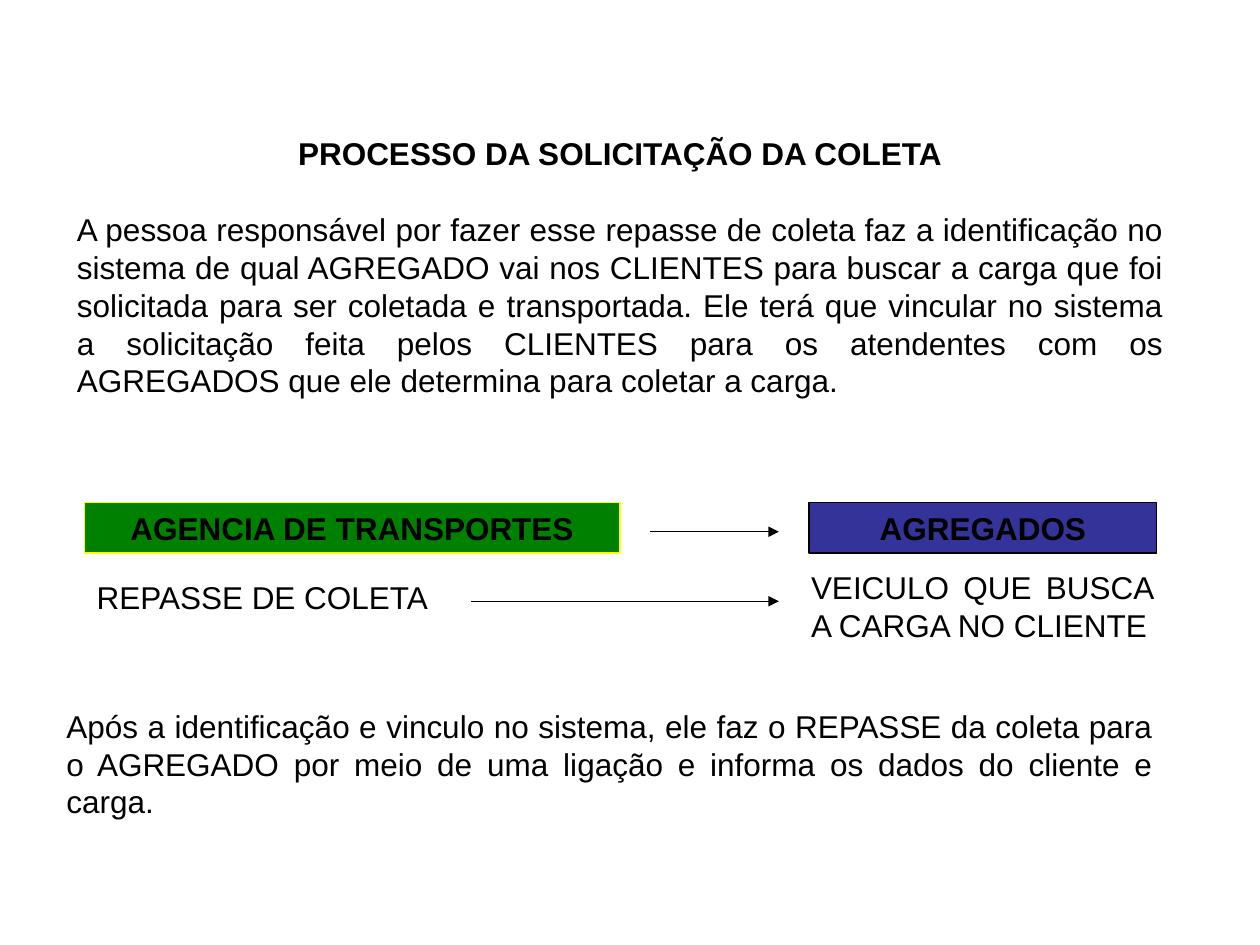
from lxml import etree
from pptx import Presentation
from pptx.dml.color import RGBColor
from pptx.enum.shapes import MSO_CONNECTOR, MSO_SHAPE
from pptx.enum.text import MSO_ANCHOR, MSO_AUTO_SIZE, PP_ALIGN
from pptx.oxml.ns import qn
from pptx.util import Cm, Pt

LEFT, CENTER, JUSTIFY = PP_ALIGN.LEFT, PP_ALIGN.CENTER, PP_ALIGN.JUSTIFY
TOP, MIDDLE = MSO_ANCHOR.TOP, MSO_ANCHOR.MIDDLE
NO_AUTOSIZE = MSO_AUTO_SIZE.NONE
RECTANGLE = MSO_SHAPE.RECTANGLE
STRAIGHT = MSO_CONNECTOR.STRAIGHT
TITLE_ONLY = 5


def color(value):
    return RGBColor.from_string(value)


class SlideBuilder:
    font = "Arial"
    size = Pt(18)
    ink = "000000"
    line_width = Pt(0.75)

    def __init__(self, s):
        self.s = s

    def fill_text(self, sp, text, align, bold=False, anchor=TOP):
        tf = sp.text_frame
        tf.text = text
        tf.word_wrap = True
        tf.auto_size = NO_AUTOSIZE
        tf.vertical_anchor = anchor
        tf.margin_left = tf.margin_right = Cm(0.25)
        tf.margin_top = tf.margin_bottom = Cm(0.13)
        p = tf.paragraphs[0]
        p.alignment = align
        p.line_spacing = 1.0
        p.space_before = Pt(0)
        for r in p.runs:
            r.font.name = self.font
            r.font.size = self.size
            r.font.bold = bold
            r.font.color.rgb = color(self.ink)

    def title(self, text, x, y, w, h):
        sp = self.s.shapes.title
        sp.left, sp.top, sp.width, sp.height = Cm(x), Cm(y), Cm(w), Cm(h)
        self.fill_text(sp, text, CENTER, bold=True)

    def text(self, text, x, y, w, h, align=JUSTIFY):
        sp = self.s.shapes.add_textbox(Cm(x), Cm(y), Cm(w), Cm(h))
        self.fill_text(sp, text, align)

    def box(self, text, x, y, w, h, fill, line):
        sp = self.s.shapes.add_shape(RECTANGLE, Cm(x), Cm(y), Cm(w), Cm(h))
        sp.shadow.inherit = False
        sp.fill.solid()
        sp.fill.fore_color.rgb = color(fill)
        sp.line.color.rgb = color(line)
        sp.line.width = self.line_width
        self.fill_text(sp, text, CENTER, bold=True, anchor=MIDDLE)

    def arrow(self, x1, x2, y):
        cx = self.s.shapes.add_connector(STRAIGHT, Cm(x1), Cm(y), Cm(x2), Cm(y))
        cx.line.color.rgb = color(self.ink)
        cx.line.width = self.line_width
        props = cx.element.spPr
        etree.SubElement(props.find(qn("a:ln")), qn("a:tailEnd"), type="triangle")
        etree.SubElement(props, qn("a:effectLst"))


def main():
    prs = Presentation()
    prs.slide_width, prs.slide_height = Cm(25.4), Cm(19.05)
    b = SlideBuilder(prs.slides.add_slide(prs.slide_layouts[TITLE_ONLY]))

    text_width, line_height = 22.4, 1.02
    box_top, arrow_end = 10.13, 15.7

    b.title("PROCESSO DA SOLICITAÇÃO DA COLETA", 1.3, 2.57, text_width, line_height)
    b.text("A pessoa responsável por fazer esse repasse de coleta faz a "
           "identificação no sistema de qual AGREGADO vai nos CLIENTES para "
           "buscar a carga que foi solicitada para ser coletada e transportada. "
           "Ele terá que vincular no sistema a solicitação feita pelos CLIENTES "
           "para os atendentes com os AGREGADOS que ele determina para coletar "
           "a carga.", 1.3, 4.11, text_width, 4.06)

    b.box("AGENCIA DE TRANSPORTES", 1.7, box_top, 10.8, line_height, "008000", "FFFF00")
    b.arrow(13.11, arrow_end, 10.72)
    b.box("AGREGADOS", 16.31, box_top, 7.01, line_height, "333399", "000000")

    b.text("REPASSE DE COLETA", 1.7, 11.53, 10.41, line_height, LEFT)
    b.arrow(9.5, arrow_end, 12.12)
    b.text("VEICULO QUE BUSCA A CARGA NO CLIENTE", 16.1, 11.33, 7.39, 1.78)

    b.text("Após a identificação e vinculo no sistema, ele faz o REPASSE da "
           "coleta para o AGREGADO por meio de uma ligação e informa os dados "
           "do cliente e carga.", 1.09, 14.12, text_width, 2.54)

    prs.save("out.pptx")


if __name__ == "__main__":
    main()
